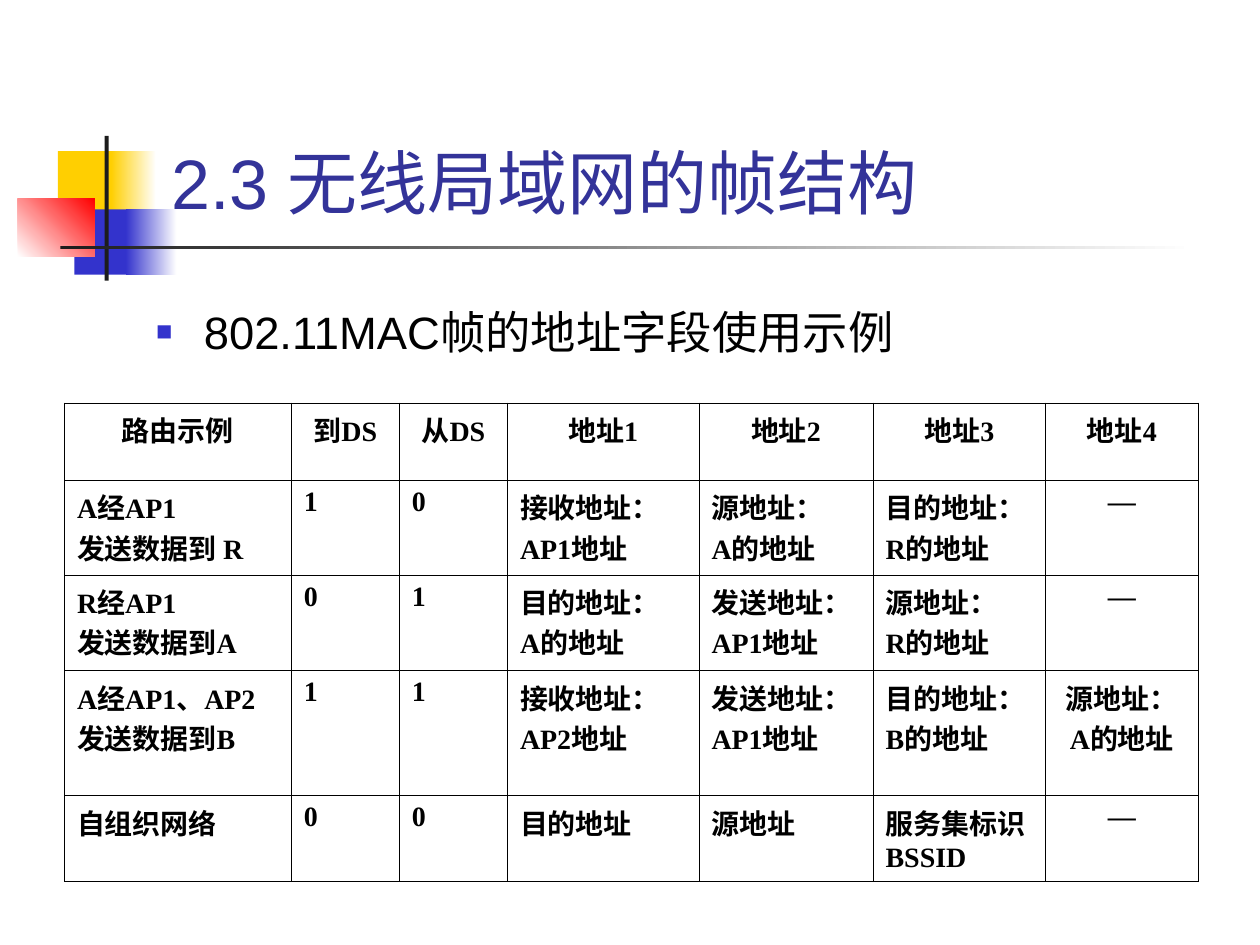
from typing import NamedTuple, Optional

from lxml import etree
from pptx import Presentation
from pptx import util as u
from pptx.dml.color import RGBColor
from pptx.enum import shapes, text
from pptx.oxml.ns import qn

COLORS = {
    "yellow": "FFCF01",
    "blue": "3333CC",
    "red": "FF0000",
    "white": "FFFFFF",
    "charcoal": "1C1C1C",
    "title": "333399",
    "black": "000000",
}


class Block(NamedTuple):
    left: float
    top: float
    width: float
    height: float
    start: str
    end: Optional[str] = None  # second gradient colour
    angle: int = 0


class Style(NamedTuple):
    size: float
    font: str
    color: str
    bold: bool = False


TITLE = Style(40, "Arial", "title")
BODY = Style(25.9, "Arial", "black")
CELL = Style(16, "Times New Roman", "black", True)
HANGING = u.Cm(0.96)

BLOCKS = [
    Block(1.17, 3.05, 1.22, 1.32, "yellow"),
    Block(2.24, 3.05, 0.91, 1.32, "yellow", "white"),
    Block(1.5, 4.22, 1.17, 1.32, "blue"),
    Block(2.54, 4.22, 1.02, 1.32, "blue", "white"),
    Block(0.36, 4.01, 1.55, 1.17, "white", "red", 45),
    Block(2.11, 2.74, 0.08, 2.92, "charcoal"),
    Block(1.22, 4.95, 22.86, 0.08, "charcoal", "white"),
]

COLUMNS = [4.57, 2.18, 2.18, 3.86, 3.51, 3.48, 3.07]
ROW_HEIGHTS = [1.55, 1.91, 1.93, 2.52, 1.73]
# Each line of a cell is a paragraph
ROWS = [
    ["路由示例", "到DS", "从DS", "地址1", "地址2", "地址3", "地址4"],
    ["A经AP1\n发送数据到 R", "1", "0", "接收地址：\nAP1地址",
     "源地址：\nA的地址", "目的地址：\nR的地址", "—"],
    ["R经AP1\n发送数据到A", "0", "1", "目的地址：\nA的地址",
     "发送地址：\nAP1地址", "源地址：\nR的地址", "—"],
    ["A经AP1、AP2\n发送数据到B", "1", "1", "接收地址：\nAP2地址",
     "发送地址：\nAP1地址", "目的地址：\nB的地址", "源地址：\nA的地址"],
    ["自组织网络", "0", "0", "目的地址", "源地址", "服务集标识\nBSSID", "—"],
]


def rgb(name: str) -> RGBColor:
    return RGBColor.from_string(COLORS[name])


def draw_block(page, block: Block) -> None:
    shape = page.shapes.add_shape(
        shapes.MSO_SHAPE.RECTANGLE, *(u.Cm(length) for length in block[:4]))
    shape.shadow.inherit = False
    shape.line.fill.background()
    if block.end is None:
        shape.fill.solid()
        shape.fill.fore_color.rgb = rgb(block.start)
        return
    shape.fill.gradient()
    shape.fill.gradient_angle = block.angle
    for stop, name, position in zip(
            shape.fill.gradient_stops, (block.start, block.end), (0, 1)):
        stop.color.rgb = rgb(name)
        stop.position = position


def add_span(para, words: str, style: Style) -> None:
    span = para.add_run()
    span.text = words
    span.font.size = u.Pt(style.size)
    span.font.name = style.font
    span.font.bold = style.bold
    span.font.color.rgb = rgb(style.color)


def hang(para):
    props = para._p.get_or_add_pPr()
    props.set("marL", str(HANGING))
    props.set("indent", str(-HANGING))
    return props


def add_bullet(para) -> None:
    props = hang(para)
    color = etree.SubElement(props, qn("a:buClr"))
    etree.SubElement(color, qn("a:srgbClr"), val=COLORS["blue"])
    etree.SubElement(props, qn("a:buSzPct"), val="60000")
    etree.SubElement(props, qn("a:buFont"), typeface="Arial")
    etree.SubElement(props, qn("a:buChar"), char="■")


def add_box(page, left: float, top: float, width: float, height: float):
    box = page.shapes.add_textbox(u.Cm(left), u.Cm(top), u.Cm(width), u.Cm(height))
    box.text_frame.word_wrap = True
    return box.text_frame


def add_borders(cell, top: float, bottom: float) -> None:
    props = cell._tc.get_or_add_tcPr()
    for side, width in (("L", 0.34), ("R", 0.34), ("T", top), ("B", bottom)):
        line = etree.SubElement(props, qn(f"a:ln{side}"), w=str(u.Pt(width)))
        fill = etree.SubElement(line, qn("a:solidFill"))
        etree.SubElement(fill, qn("a:srgbClr"), val=COLORS["black"])


def fill_cell(cell, words: str, centered: bool) -> None:
    frame = cell.text_frame
    for index, line in enumerate(words.split("\n")):
        para = frame.add_paragraph() if index else frame.paragraphs[0]
        hang(para)
        para.alignment = text.PP_ALIGN.CENTER if centered else text.PP_ALIGN.LEFT
        add_span(para, line, CELL)


def draw_table(page) -> None:
    table = page.shapes.add_table(
        len(ROWS), len(COLUMNS), u.Cm(1.3), u.Cm(8.13),
        u.Cm(sum(COLUMNS)), u.Cm(sum(ROW_HEIGHTS))).table
    table.first_row = table.horz_banding = False
    for column, width in zip(table.columns, COLUMNS):
        column.width = u.Cm(width)
    rules = [0.96, 0.45, 0.34, 0.34, 0.34, 0.96]  # horizontal lines, top down
    last = len(COLUMNS) - 1
    for r, (row, height) in enumerate(zip(ROWS, ROW_HEIGHTS)):
        table.rows[r].height = u.Cm(height)
        for c, words in enumerate(row):
            cell = table.cell(r, c)
            add_borders(cell, rules[r], rules[r + 1])
            cell.fill.background()
            fill_cell(cell, words, centered=r == 0 or c == last)


def main() -> None:
    deck = Presentation()
    deck.slide_width, deck.slide_height = u.Cm(25.4), u.Cm(19.05)
    page = deck.slides.add_slide(deck.slide_layouts[6])

    # Corner decoration
    for block in BLOCKS:
        draw_block(page, block)

    # Title
    frame = add_box(page, 3.2, 0.58, 21.64, 4.06)
    frame.vertical_anchor = text.MSO_ANCHOR.BOTTOM
    add_span(frame.paragraphs[0], "2.3 无线局域网的帧结构", TITLE)

    # Bullet line
    para = add_box(page, 2.9, 5.56, 21.59, 1.78).paragraphs[0]
    para.line_spacing = 1.4
    add_bullet(para)
    add_span(para, "802.11MAC帧的地址字段使用示例", BODY)

    # Address table
    draw_table(page)
    deck.save("out.pptx")


if __name__ == "__main__":
    main()
